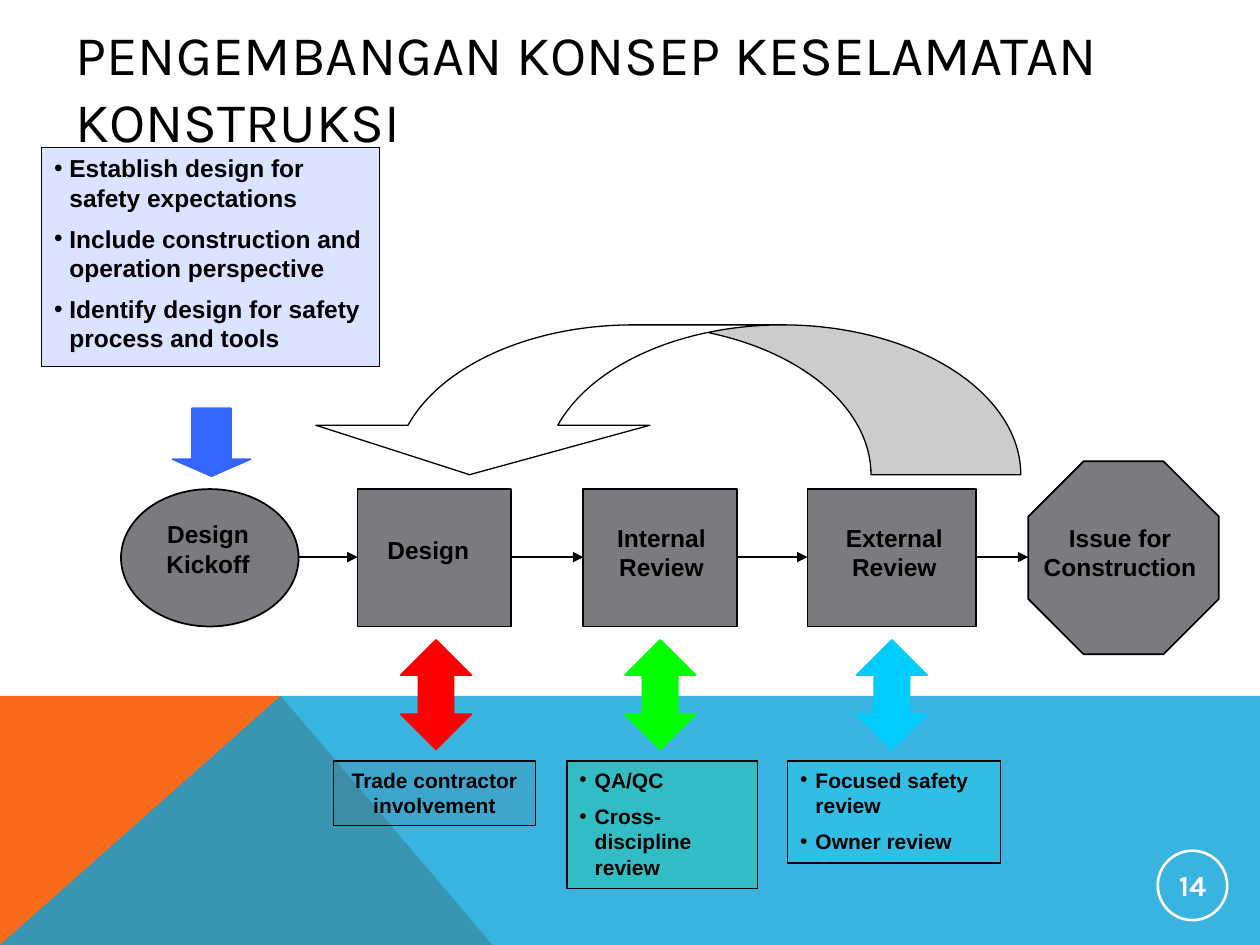
from pptx import Presentation
from pptx.dml.color import RGBColor
from pptx.enum.shapes import MSO_CONNECTOR, MSO_SHAPE
from pptx.enum.text import MSO_ANCHOR, PP_ALIGN
from pptx.oxml.ns import qn
from pptx.util import Cm, Pt
from lxml import etree

RECT, OVAL, OCTAGON = MSO_SHAPE.RECTANGLE, MSO_SHAPE.OVAL, MSO_SHAPE.OCTAGON
DOWN, UP_DOWN = MSO_SHAPE.DOWN_ARROW, MSO_SHAPE.UP_DOWN_ARROW
CURVED = MSO_SHAPE.CURVED_DOWN_ARROW
STRAIGHT = MSO_CONNECTOR.STRAIGHT
LEFT, CENTER = PP_ALIGN.LEFT, PP_ALIGN.CENTER
TOP, MIDDLE = MSO_ANCHOR.TOP, MSO_ANCHOR.MIDDLE

BLACK, WHITE, GREY = "000000", "FFFFFF", "797B7E"
BODY = {"name": "Arial", "size": Pt(14), "bold": True}
NOTE = {**BODY, "size": Pt(12)}
TITLE = {"name": "Karla", "size": Pt(32), "bold": False}
NUMBER = {"name": "Karla", "size": Pt(16.5), "bold": True}

STEP_TOP, STEP_H, FLOW_Y = 9.86, 2.77, 11.23
STEPS = [
    (OVAL, (2.44, STEP_TOP, 3.58, STEP_H), "Design Kickoff", (3, 10.34, 2.39, 1.45)),
    (RECT, (7.21, STEP_TOP, 3.1, STEP_H), "Design", (7.44, 10.67, 2.39, 0.84)),
    (RECT, (11.76, STEP_TOP, 3.1, STEP_H), "Internal Review", (12.14, 10.41, 2.39, 1.45)),
    (RECT, (16.28, STEP_TOP, 3.4, STEP_H), "External Review", (16.71, 10.41, 2.64, 1.45)),
    (OCTAGON, (20.73, 9.3, 3.84, 3.89), "Issue for Construction", (20.58, 10.41, 4, 1.45)),
]
NOTES = [
    ((6.73, 15.34, 4.06, 1.3), "5F5F5F", 15, ["Trade contractor involvement"], False, NOTE),
    ((0.84, 2.97, 6.81, 4.42), "3366FF", 18,
     ["Establish design for safety expectations",
      "Include construction and operation perspective",
      "Identify design for safety process and tools"], True, BODY),
    ((11.43, 15.34, 3.84, 2.57), "00FF00", 12,
     ["QA/QC", "Cross-discipline review"], True, NOTE),
    ((15.88, 15.34, 4.29, 2.06), "00FFFF", 15,
     ["Focused safety review", "Owner review"], True, NOTE),
]
REVIEW_ARROWS = [(8.08, "FF0000"), (12.6, "00FF00"), (17.27, "00CCFF")]


def rgb(value):
    """Turn a hex string into a colour."""
    return RGBColor.from_string(value)


def paint(s, fill=None, line=None, width=1, alpha=None):
    """Set fill, transparency and outline, and drop the shadow."""
    s.shadow.inherit = False
    if fill:
        s.fill.solid()
        s.fill.fore_color.rgb = rgb(fill)
    else:
        s.fill.background()
    if alpha:
        color = s._element.spPr.find(qn("a:solidFill")).find(qn("a:srgbClr"))
        etree.SubElement(color, qn("a:alpha"), val=str(alpha * 1000))
    if line:
        s.line.color.rgb = rgb(line)
        s.line.width = Pt(width)
    else:
        s.line.fill.background()


def add_shape(slide, kind, box, adjust=(), **look):
    """Add a painted preset shape."""
    s = slide.shapes.add_shape(kind, *map(Cm, box))
    for i, value in enumerate(adjust):
        s.adjustments[i] = value
    paint(s, **look)
    return s


def add_area(slide, points, **look):
    """Add a filled polygon."""
    corners = [(Cm(x), Cm(y)) for x, y in points]
    builder = slide.shapes.build_freeform(*corners[0], scale=1.0)
    builder.add_line_segments(corners[1:], close=True)
    paint(builder.convert_to_shape(), **look)


def add_bullet(p):
    """Give a paragraph a hanging round bullet."""
    pPr = p._p.get_or_add_pPr()
    pPr.set("marL", str(Cm(0.31)))
    pPr.set("indent", str(-Cm(0.31)))
    etree.SubElement(pPr, qn("a:buFont"), typeface="Arial")
    etree.SubElement(pPr, qn("a:buChar"), char="•")


def write(s, lines, style, color=BLACK, align=CENTER, anchor=TOP, bullets=False):
    """Write formatted paragraphs into a shape."""
    tf = s.text_frame
    tf.word_wrap = True
    tf.vertical_anchor = anchor
    for i, line in enumerate(lines):
        p = tf.add_paragraph() if i else tf.paragraphs[0]
        p.alignment = align
        if i:
            p.space_before = Pt(6.5)
        if bullets:
            add_bullet(p)
        r = p.add_run()
        r.text = line
        for name, value in style.items():
            setattr(r.font, name, value)
        r.font.color.rgb = rgb(color)
    return tf


def add_text(slide, box, text, style, **options):
    """Add a text box with one paragraph."""
    s = slide.shapes.add_textbox(*map(Cm, box))
    write(s, [text], style, **options)


def add_arrow(slide, start, end):
    """Add a horizontal flow arrow."""
    s = slide.shapes.add_connector(STRAIGHT, Cm(start), Cm(FLOW_Y), Cm(end), Cm(FLOW_Y))
    s.line.color.rgb = rgb(BLACK)
    s.line.width = Pt(1)
    etree.SubElement(s.line._get_or_add_ln(), qn("a:tailEnd"), type="triangle")
    etree.SubElement(s._element.spPr, qn("a:effectLst"))


def add_frame(slide):
    """Draw the coloured base, title and slide number."""
    add_area(slide, [(0, 19.05), (0, 14.03), (5.66, 14.03), (9.93, 19.05)], fill="F96A1B")
    add_area(slide, [(0, 19.05), (5.66, 14.03), (25.4, 14.03), (25.4, 19.05)],
             fill="08A1D9", alpha=80)
    add_text(slide, (1.27, 0.76, 22.86, 1.98),
             "PENGEMBANGAN KONSEP KESELAMATAN KONSTRUKSI", TITLE,
             align=LEFT, anchor=MIDDLE)
    s = add_shape(slide, OVAL, (23.34, 17.15, 1.4, 1.4), line=WHITE, width=1.5)
    tf = write(s, ["14"], NUMBER, color=WHITE, anchor=MIDDLE)
    for side in ("left", "right", "top", "bottom"):
        setattr(tf, f"margin_{side}", Cm(0.03))


def add_flow(slide):
    """Draw the process steps and the arrows between them."""
    for kind, box, label, label_box in STEPS:
        adjust = [0.29] if kind == OCTAGON else []
        add_shape(slide, kind, box, adjust, fill=GREY, line=BLACK)
        add_text(slide, label_box, label, BODY)
    for (_, box, *_), (_, following, *_) in zip(STEPS, STEPS[1:]):
        add_arrow(slide, box[0] + box[2], following[0])


def add_notes(slide):
    """Draw the note boxes and the block arrows."""
    for box, fill, alpha, lines, bullets, style in NOTES:
        s = add_shape(slide, RECT, box, fill=fill, alpha=alpha, line=BLACK, width=0.75)
        write(s, lines, style, align=LEFT if bullets else CENTER, bullets=bullets)
    add_shape(slide, DOWN, (3.48, 8.23, 1.57, 1.37), [0.5, 0.25],
              fill="3366FF", line="3366FF")
    for left, color in REVIEW_ARROWS:
        add_shape(slide, UP_DOWN, (left, 12.9, 1.42, 2.21), [0.27, 0.5],
                  fill=color, line=color)
    s = add_shape(slide, CURVED, (6.1, 6.55, 14.48, 3.02), [1.12, 2.23, 0.33],
                  fill=WHITE, line=BLACK, width=0.75)
    s._element.spPr.find(qn("a:xfrm")).set("flipH", "1")


def main():
    """Build and save the slide."""
    prs = Presentation()
    prs.slide_width, prs.slide_height = Cm(25.4), Cm(19.05)
    slide = prs.slides.add_slide(prs.slide_layouts[6])
    add_frame(slide)
    add_flow(slide)
    add_notes(slide)
    prs.save("out.pptx")


if __name__ == "__main__":
    main()
